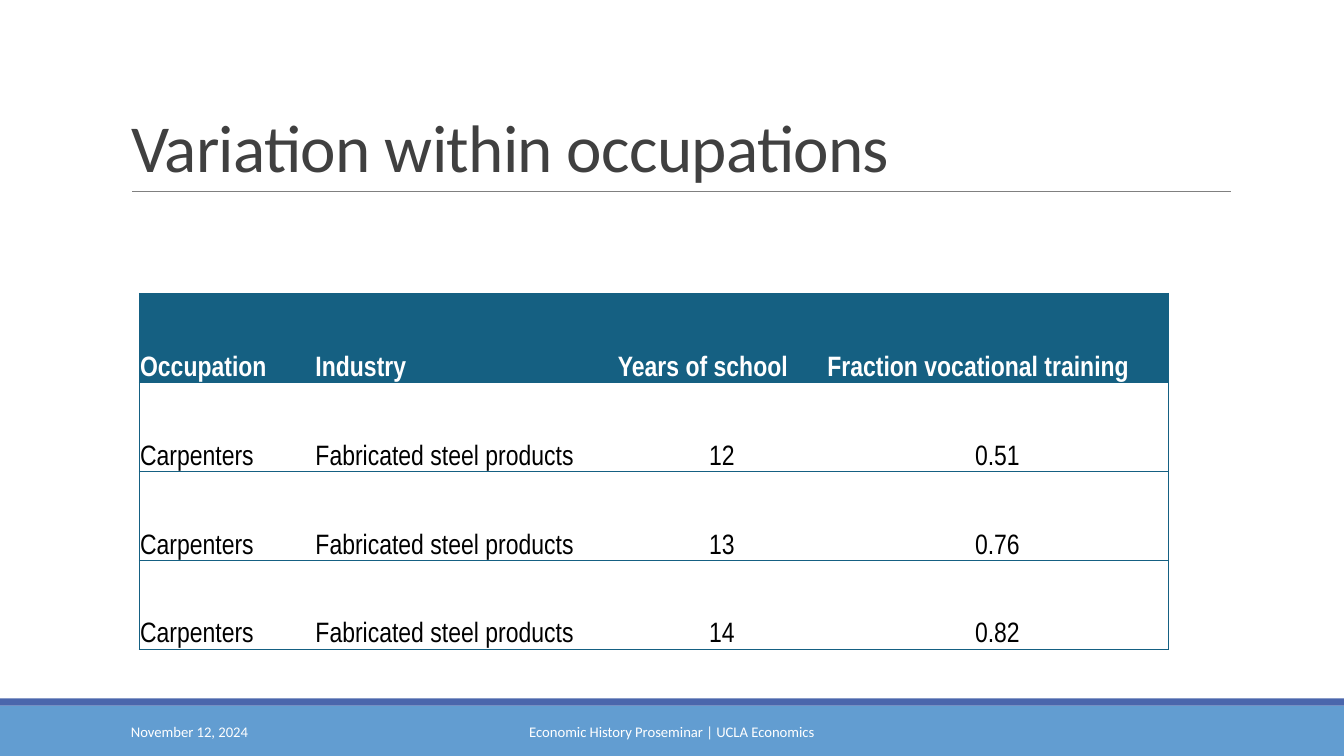
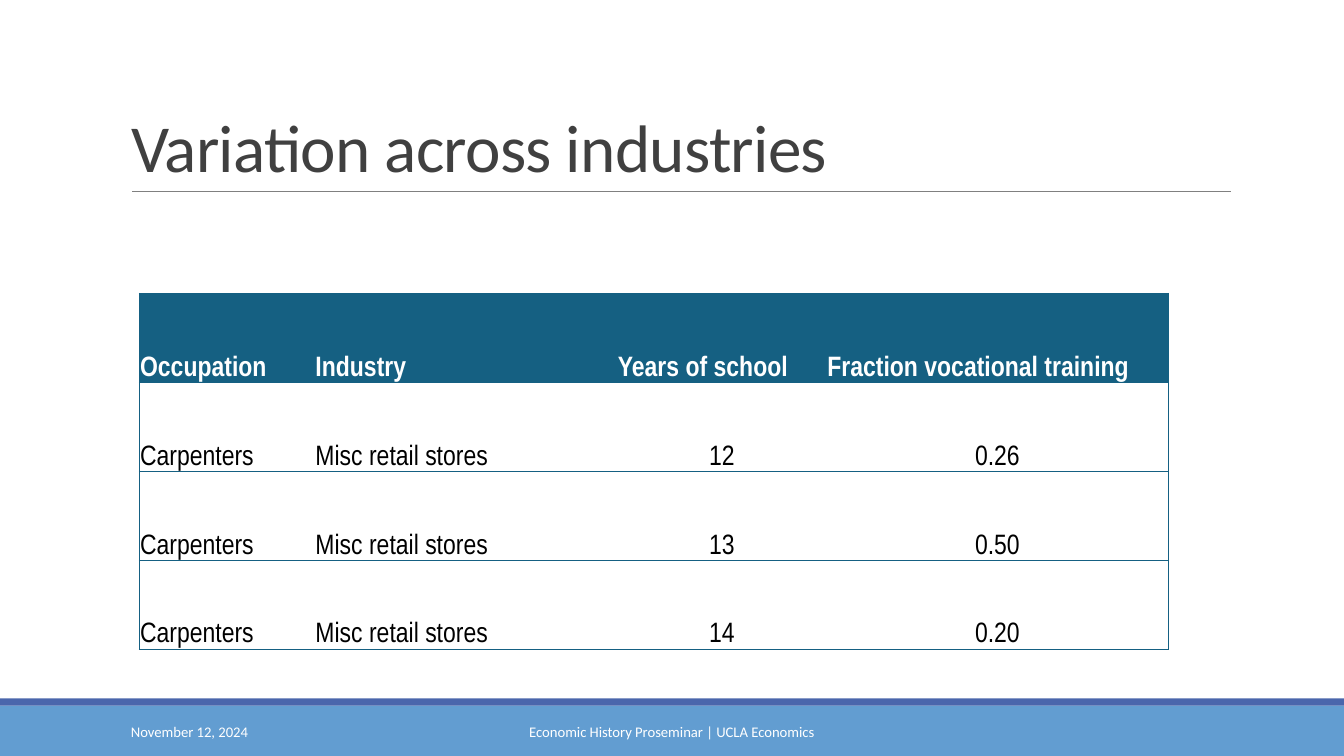
from lxml.etree import SubElement
from pptx import Presentation
from pptx.dml.color import RGBColor
from pptx.enum.shapes import MSO_CONNECTOR as Connector, MSO_SHAPE as Shape
from pptx.enum.text import MSO_ANCHOR as Anchor, MSO_AUTO_SIZE as AutoSize, PP_ALIGN as Align
from pptx.oxml import parse_xml
from pptx.oxml.ns import nsdecls, qn
from pptx.util import Cm, Pt

WHITE = RGBColor(0xFF, 0xFF, 0xFF)
BLACK = RGBColor(0x00, 0x00, 0x00)
CHARCOAL = RGBColor(0x40, 0x40, 0x40)
GRAY = RGBColor(0x80, 0x80, 0x80)
LIGHT_BLUE = RGBColor(0x62, 0x9D, 0xD1)
INDIGO = RGBColor(0x4A, 0x66, 0xAC)
TEAL = RGBColor(0x15, 0x60, 0x82)

HEADINGS = ("Occupation", "Industry", "Years of school", "Fraction vocational training")
COLUMN_WIDTHS = (4.42, 7.62, 5.28, 8.61)
ROW_HEIGHT = 2.24
YEARS = (12, 13, 14)


class Deck:
    body_font = "Calibri"
    table_font = "Arial Narrow"

    def __init__(self):
        self.prs = Presentation()
        self.prs.slide_width = Cm(33.87)
        self.prs.slide_height = Cm(19.05)
        self.slide = None

    def new_slide(self, title):
        self.slide = self.prs.slides.add_slide(self.prs.slide_layouts[5])
        self.band(17.78, 1.27, LIGHT_BLUE)
        self.band(17.6, 0.18, INDIGO)
        self.rule(3.33, 31.01, 4.83)
        self.title(title)
        self.footer("November 12, 2024", 3.05, 6.86, Align.LEFT)
        self.footer("Economic History Proseminar | UCLA Economics", 10.24, 13.39, Align.CENTER)

    def band(self, top, height, color):
        band = self.slide.shapes.add_shape(
            Shape.RECTANGLE, 0, Cm(top), self.prs.slide_width, Cm(height))
        band.shadow.inherit = False
        band.fill.solid()
        band.fill.fore_color.rgb = color
        band.line.fill.background()

    def rule(self, left, right, y):
        rule = self.slide.shapes.add_connector(
            Connector.STRAIGHT, Cm(left), Cm(y), Cm(right), Cm(y))
        rule.line.color.rgb = GRAY
        rule.line.width = Pt(0.5)
        SubElement(rule.element.spPr, qn("a:effectLst"))

    def add_text(self, paragraph, text, size, color, font, align=Align.LEFT, bold=False):
        paragraph.alignment = align
        run = paragraph.add_run()
        run.text = text
        run.font.size = Pt(size)
        run.font.name = font
        run.font.bold = bold
        run.font.color.rgb = color
        return run

    def title(self, text):
        title = self.slide.shapes.title
        title.left, title.top, title.width, title.height = map(Cm, (3.05, 0.79, 27.94, 4.04))
        frame = title.text_frame
        frame.word_wrap = True
        frame.auto_size = AutoSize.NONE
        frame.vertical_anchor = Anchor.BOTTOM
        paragraph = frame.paragraphs[0]
        paragraph.line_spacing = 0.85
        run = self.add_text(paragraph, text, 48, CHARCOAL, self.body_font)
        run.font._element.set("spc", "-50")

    def footer(self, text, left, width, align):
        footer = self.slide.shapes.add_textbox(Cm(left), Cm(17.93), Cm(width), Cm(1.02))
        frame = footer.text_frame
        frame.word_wrap = True
        frame.vertical_anchor = Anchor.MIDDLE
        self.add_text(frame.paragraphs[0], text, 10.5, WHITE, self.body_font, align)

    def table(self, rows):
        table = self.slide.shapes.add_table(
            len(rows), len(COLUMN_WIDTHS), Cm(3.51), Cm(7.39),
            Cm(sum(COLUMN_WIDTHS)), Cm(ROW_HEIGHT * len(rows))).table
        table.horz_banding = False
        for column, width in zip(table.columns, COLUMN_WIDTHS):
            column.width = Cm(width)
        for row_index, values in enumerate(rows):
            table.rows[row_index].height = Cm(ROW_HEIGHT)
            for column_index, value in enumerate(values):
                self.cell(table.cell(row_index, column_index), value,
                          row_index == 0, column_index)

    def cell(self, cell, text, is_header, column_index):
        cell.margin_left = cell.margin_right = cell.margin_top = Cm(0.02)
        cell.margin_bottom = 0
        cell.vertical_anchor = Anchor.BOTTOM
        if is_header:
            cell.fill.solid()
            cell.fill.fore_color.rgb = TEAL
        else:
            cell.fill.background()
        is_number = column_index >= 2 and not is_header
        self.add_text(cell.text_frame.paragraphs[0], text, 20,
                      WHITE if is_header else BLACK, self.table_font,
                      Align.CENTER if is_number else Align.LEFT, is_header)
        self.borders(cell, column_index == 0, column_index == len(COLUMN_WIDTHS) - 1)

    def borders(self, cell, is_first, is_last):
        properties = cell._tc.get_or_add_tcPr()
        sides = (("lnL", is_first), ("lnR", is_last), ("lnT", True), ("lnB", True))
        for position, (side, visible) in enumerate(sides):
            paint = (f'<a:solidFill><a:srgbClr val="{TEAL}"/></a:solidFill>'
                     if visible else "<a:noFill/>")
            properties.insert(position, parse_xml(
                f'<a:{side} {nsdecls("a")} w="{Pt(0.5)}">{paint}</a:{side}>'))


def main():
    deck = Deck()
    for title, industry, fractions in (
        ("Variation within occupations", "Fabricated steel products", (0.51, 0.76, 0.82)),
        ("Variation across industries", "Misc retail stores", (0.26, 0.50, 0.20)),
    ):
        deck.new_slide(title)
        deck.table([HEADINGS] + [
            ("Carpenters", industry, str(years), f"{fraction:.2f}")
            for years, fraction in zip(YEARS, fractions)])
    deck.prs.save("out.pptx")


if __name__ == "__main__":
    main()
